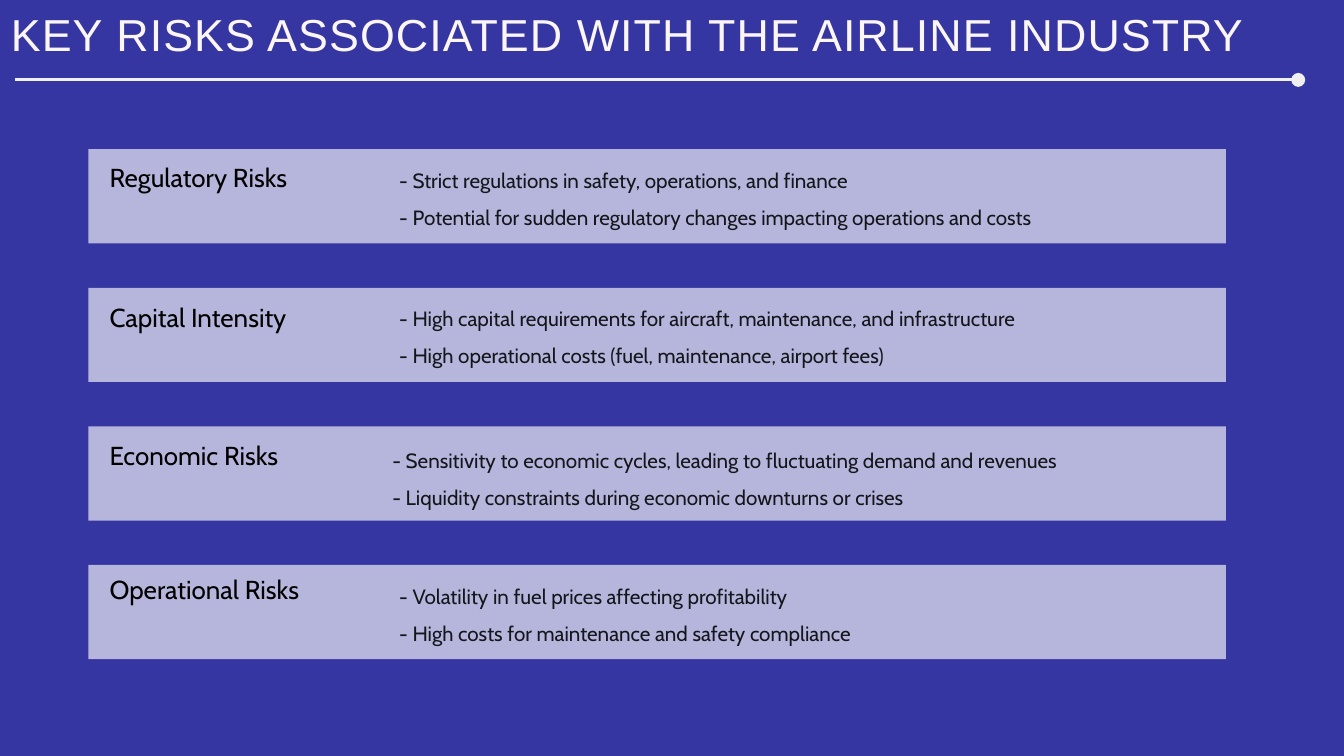
"""Build the slide on key risks associated with the airline industry."""
from lxml.etree import SubElement
from pptx import Presentation
from pptx.dml.color import RGBColor
from pptx.enum.shapes import MSO_CONNECTOR as Connector, MSO_SHAPE as Shape
from pptx.enum.text import PP_ALIGN as Align
from pptx.oxml.ns import qn
from pptx.util import Cm, Pt

BLUE = RGBColor(0x35, 0x36, 0xA1)
CREAM = RGBColor(0xFB, 0xF5, 0xF3)
PALE = RGBColor(0xF0, 0xF0, 0xF0)
WHITE = RGBColor(0xFF, 0xFF, 0xFF)
BLACK = RGBColor(0x00, 0x00, 0x00)
INK = RGBColor(0x13, 0x16, 0x1B)

# name, name offset, details left, details offset, details
RISKS = [
    ("Regulatory Risks", -0.13, 15.09, 0.23,
     ["- Strict regulations in safety, operations, and finance",
      "- Potential for sudden regulatory changes impacting operations and costs"]),
    ("Capital Intensity", -0.08, 15.09, 0.22,
     ["- High capital requirements for aircraft, maintenance, and infrastructure",
      "- High operational costs (fuel, maintenance, airport fees)"]),
    ("Economic Risks", -0.09, 14.83, 0.34,
     ["- Sensitivity to economic cycles, leading to fluctuating demand and revenues",
      "- Liquidity constraints during economic downturns or crises"]),
    ("Operational Risks", -0.28, 15.09, 0.23,
     ["- Volatility in fuel prices affecting profitability",
      "- High costs for maintenance and safety compliance"]),
]
FIRST_TOP, PITCH = 5.64, 5.24


def add_text(left, top, width, height, lines, font, size, color, spacing, align=Align.LEFT):
    box = page.shapes.add_textbox(Cm(left), Cm(top), Cm(width), Cm(height))
    frame = box.text_frame
    frame.word_wrap = True
    frame.margin_left = frame.margin_top = frame.margin_right = frame.margin_bottom = 0
    frame.text = "\n".join(lines)
    for para in frame.paragraphs:
        para.alignment = align
        para.line_spacing = Pt(spacing)
        para.font.name = font
        para.font.size = Pt(size)
        para.font.color.rgb = color
    return frame


deck = Presentation()
deck.slide_width, deck.slide_height = Cm(50.8), Cm(28.58)
page = deck.slides.add_slide(deck.slide_layouts[6])
page.background.fill.solid()
page.background.fill.fore_color.rgb = BLUE

title = add_text(0.41, 0.43, 52.17, 1.88, ["KEY RISKS ASSOCIATED WITH THE AIRLINE INDUSTRY"],
                 "Arial", 48, CREAM, 52.8)
title.paragraphs[0].runs[0].font._element.set("spc", "120")

for row, (name, name_shift, details_left, details_shift, details) in enumerate(RISKS):
    top = FIRST_TOP + row * PITCH
    panel = page.shapes.add_shape(Shape.RECTANGLE, Cm(3.34), Cm(top), Cm(43), Cm(3.56))
    panel.shadow.inherit = False
    panel.line.fill.background()
    panel.fill.solid()
    panel.fill.fore_color.rgb = WHITE
    color = panel._element.spPr.find(f"{qn('a:solidFill')}/{qn('a:srgbClr')}")
    SubElement(color, qn("a:alpha"), val="64000")
    add_text(4.14, top + name_shift, 9.55, 1.5, [name], "Cabin", 27.8, BLACK, 50, Align.JUSTIFY)
    add_text(details_left, top + details_shift, 33.12, 3.99, details, "Cabin", 22.1, INK, 39.9)

rule = page.shapes.add_connector(Connector.STRAIGHT, Cm(49.07), Cm(3.02), Cm(0.58), Cm(3.02))
rule.line.color.rgb = PALE
rule.line.width = Pt(3)
SubElement(rule.line._get_or_add_ln(), qn("a:headEnd"), type="oval", w="lg", len="lg")
SubElement(rule._element.spPr, qn("a:effectLst"))

deck.save("out.pptx")
